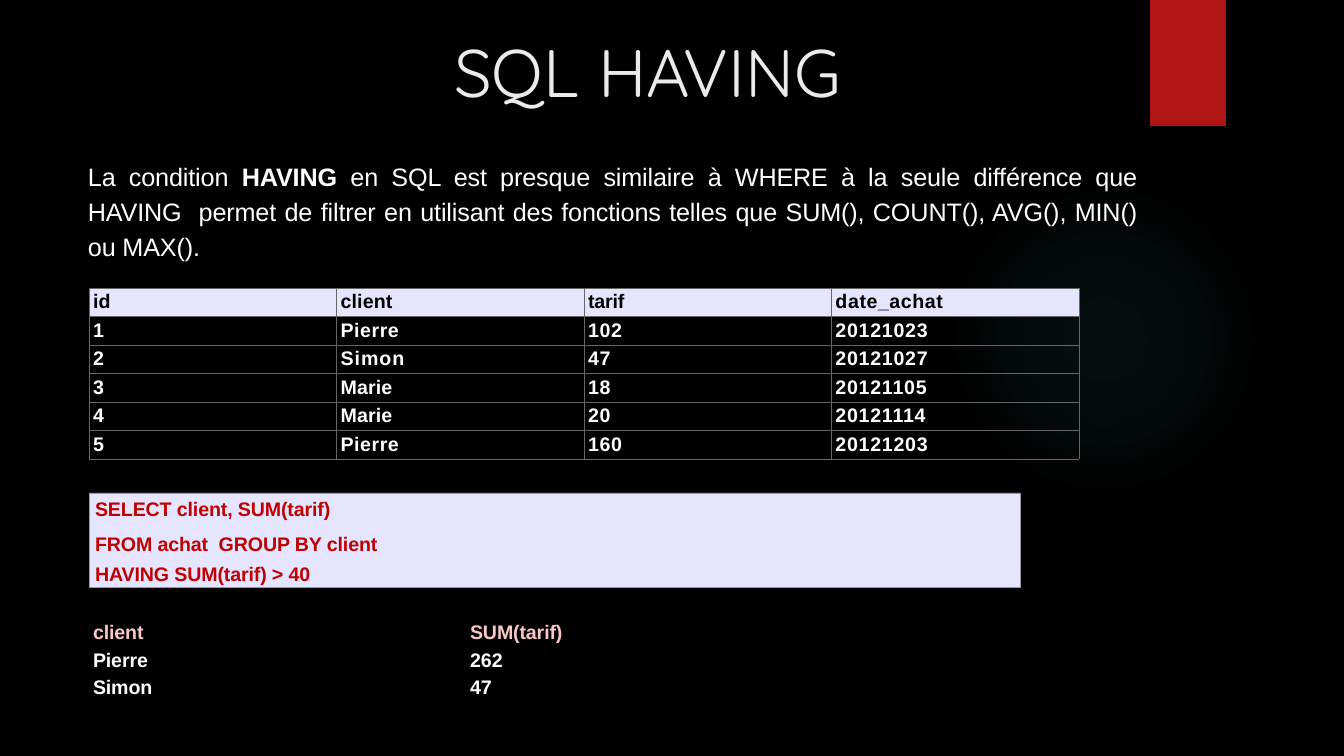
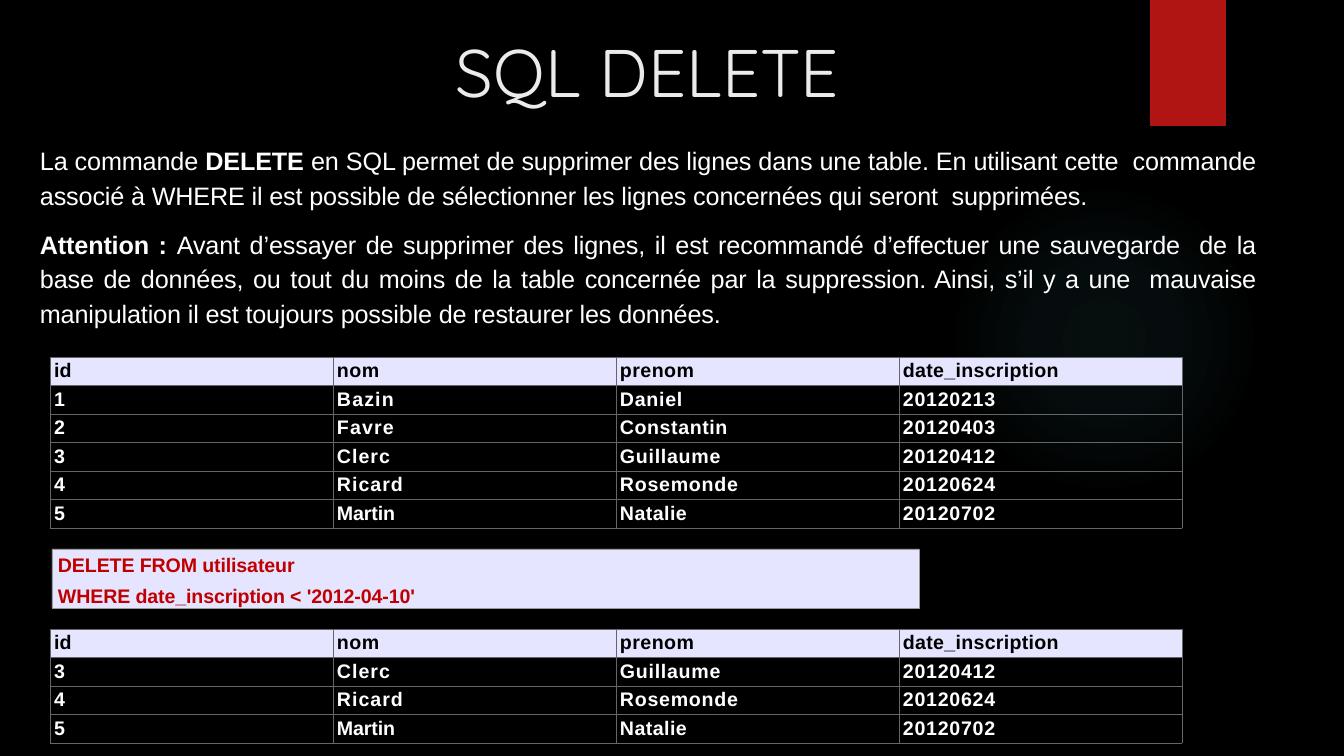
from pptx import Presentation
from pptx import util as u
from pptx.dml.color import RGBColor
from pptx.enum import shapes, text
from pptx.oxml import parse_xml
from pptx.oxml.ns import nsdecls

PX = 12192000 // 1344
BLACK, WHITE, RED, PALE = "000000", "FFFFFF", "B01513", "E5E5FF"
GREY, EDGE, CODE, PINK, TITLE = "666666", "999999", "C00000", "F9C7C6", "EBEBEB"
LEFT, MID, JUST = text.PP_ALIGN.LEFT, text.PP_ALIGN.CENTER, text.PP_ALIGN.JUSTIFY
TOP, LOW = text.MSO_ANCHOR.TOP, text.MSO_ANCHOR.BOTTOM


def paint(fill, shade):
    fill.solid()
    fill.fore_color.rgb = RGBColor.from_string(shade)


def write(frame, lines, shade, size=14, face="Arial", bold=True, gap=-0.1, left=0, align=LEFT):
    """Each line is (text, paragraph format); *stars* switch bold on and off."""
    for i, (line, form) in enumerate(lines):
        par = frame.add_paragraph() if i else frame.paragraphs[0]
        for key, val in {"alignment": align, **form}.items():
            setattr(par, key, val)
        par._p.get_or_add_pPr().set("marL", str(left * PX))
        for j, part in enumerate(line.split("*")):
            if not part:
                continue
            run = par.add_run()
            run.text = part
            look = {"size": u.Pt(size), "name": face, "bold": bold or j % 2 == 1}
            for key, val in look.items():
                setattr(run.font, key, val)
            paint(run.font.fill, shade)
            run._r.get_or_add_rPr().set("spc", str(round(gap * 100)))


# Letter spacing of table words, in points; other words take 0.5
gaps = {"id": 0.1, "client": 0.1, "tarif": -0.1, "date_achat": 0.4,
        "Pierre": 0.4, "Simon": 0.7, "Marie": 0.1, "nom": 0.3, "prenom": 0.3,
        "date_inscription": 0.2, "Bazin": 0.8, "Favre": 0.8, "Constantin": 0.4,
        "Clerc": 0.7, "Ricard": 0.7, "Martin": -0.1, "Natalie": 0.3}
gaps.update({str(n): 0 for n in range(1, 6)})
plain = {word: -0.1 for word in ("client", "SUM(tarif)", "Pierre", "Simon")}
plain.update({"262": 0, "47": 0})

# Table styles
grid = {"edge": GREY, "head": BLACK, "band": PALE, "gaps": gaps}
bare = {"edge": BLACK, "head": PINK, "band": None, "gaps": plain}

# Paragraph formats
first = {"line_spacing": 1.15, "space_before": u.Pt(6.2)}
later = {"line_spacing": 1.15, "space_before": u.Pt(9.9)}
start = {"space_before": u.Pt(2.7)}
wide = {"line_spacing": 1.47}
last = {"space_before": u.Pt(5.1)}

# Table data
sales = [
    ("id", "client", "tarif", "date_achat"),
    ("1", "Pierre", "102", "20121023"),
    ("2", "Simon", "47", "20121027"),
    ("3", "Marie", "18", "20121105"),
    ("4", "Marie", "20", "20121114"),
    ("5", "Pierre", "160", "20121203"),
]
sums = [("client", "SUM(tarif)"), ("Pierre", "262"), ("Simon", "47")]
users = [
    ("id", "nom", "prenom", "date_inscription"),
    ("1", "Bazin", "Daniel", "20120213"),
    ("2", "Favre", "Constantin", "20120403"),
    ("3", "Clerc", "Guillaume", "20120412"),
    ("4", "Ricard", "Rosemonde", "20120624"),
    ("5", "Martin", "Natalie", "20120702"),
]

pages = [
    {
        "title": "SQL HAVING",
        "body": ((77, 152, 1070, 116), [
            ("La condition *HAVING* en SQL est presque similaire à WHERE à la seule "
             "différence que HAVING  permet de filtrer en utilisant des fonctions telles "
             "que SUM(), COUNT(), AVG(), MIN() ou MAX().", first)]),
        "code": ((89, 493, 931, 94), [
            ("SELECT client, SUM(tarif)", start),
            ("FROM achat  GROUP BY client", wide),
            ("HAVING SUM(tarif) > 40", last)]),
        "tables": [((89, 288, 990, 171), sales, grid), ((89, 619, 754, 82), sums, bare)],
    },
    {
        "title": "SQL DELETE",
        "body": ((29, 136, 1237, 200), [
            ("La commande *DELETE* en SQL permet de supprimer des lignes dans une table. "
             "En utilisant cette  commande associé à WHERE il est possible de sélectionner "
             "les lignes concernées qui seront  supprimées.", first),
            ("*Attention : *Avant d’essayer de supprimer des lignes, il est recommandé "
             "d’effectuer une sauvegarde  de la base de données, ou tout du moins de la "
             "table concernée par la suppression. Ainsi, s’il y a une  mauvaise "
             "manipulation il est toujours possible de restaurer les données.", later)]),
        "code": ((52, 549, 867, 59), [
            ("DELETE FROM utilisateur", start),
            ("WHERE date_inscription < '2012-04-10'", last)]),
        "tables": [((50, 357, 1132, 171), users, grid),
                   ((50, 629, 1132, 114), users[:1] + users[3:], grid)],
    },
]

deck = Presentation()
deck.slide_width, deck.slide_height = 1344 * PX, 756 * PX
paint(deck.slide_master.background.fill, BLACK)

for page in pages:
    slide = deck.slides.add_slide(deck.slide_layouts[6])
    items = slide.shapes

    # Glow, red tab and code panel
    box, lines = page["code"]
    glow, tab, panel = [
        items.add_shape(kind, *(n * PX for n in at))
        for kind, at in ((shapes.MSO_SHAPE.OVAL, (949, 184, 310, 310)),
                         (shapes.MSO_SHAPE.RECTANGLE, (1150, 0, 76, 126)),
                         (shapes.MSO_SHAPE.RECTANGLE, box))]
    for shape in (glow, tab, panel):
        shape.shadow.inherit = False
        shape.line.fill.background()
    stops = "".join(
        f'<a:gs pos="{pos}000"><a:srgbClr val="50B9C1"><a:alpha val="{alpha}000"/>'
        "</a:srgbClr></a:gs>" for pos, alpha in ((0, 7), (36, 6), (69, 0), (100, 0)))
    glow._element.spPr.insert(2, parse_xml(
        f'<a:gradFill {nsdecls("a")}><a:gsLst>{stops}</a:gsLst><a:path path="circle">'
        '<a:fillToRect l="50000" t="50000" r="50000" b="50000"/></a:path></a:gradFill>'))
    paint(tab.fill, RED)
    paint(panel.fill, PALE)
    paint(panel.line.fill, EDGE)
    panel.line.width = u.Pt(0.25)
    pads = {"margin_left": 0, "margin_right": 0, "margin_top": 4 * PX, "margin_bottom": 0}
    for key, val in {**pads, "vertical_anchor": TOP, "word_wrap": True}.items():
        setattr(panel.text_frame, key, val)
    write(panel.text_frame, lines, CODE, left=6)

    # Title and body text
    body, prose = page["body"]
    heads = {"shade": TITLE, "size": 48, "face": "Quicksand", "gap": 0, "align": MID}
    words = {"shade": WHITE, "size": 18, "left": 1, "align": JUST}
    for at, lines, anchor, look in (
            ((148, 21, 999, 95), [(page["title"], {})], LOW, heads),
            (body, prose, TOP, words)):
        frame = items.add_textbox(*(n * PX for n in at)).text_frame
        frame.word_wrap = True
        frame.vertical_anchor = anchor
        write(frame, lines, bold=False, **look)

    # Tables
    for (x, y, w, h), rows, style in page["tables"]:
        table = items.add_table(len(rows), len(rows[0]), x * PX, y * PX, w * PX, h * PX).table
        table.first_row = table.horz_banding = False
        for r, row in enumerate(rows):
            for c, word in enumerate(row):
                cell = table.cell(r, c)
                for key, val in {**pads, "margin_top": 3 * PX}.items():
                    setattr(cell, key, val)
                for side in "LRTB":
                    cell._tc.get_or_add_tcPr().append(parse_xml(
                        f'<a:ln{side} {nsdecls("a")} w="3175"><a:solidFill>'
                        f'<a:srgbClr val="{style["edge"]}"/></a:solidFill></a:ln{side}>'))
                if r == 0 and style["band"]:
                    paint(cell.fill, style["band"])
                else:
                    cell.fill.background()
                write(cell.text_frame, [(word, {"space_before": u.Pt(2.1)})],
                      WHITE if r else style["head"], gap=style["gaps"].get(word, 0.5), left=4)

deck.save("out.pptx")
